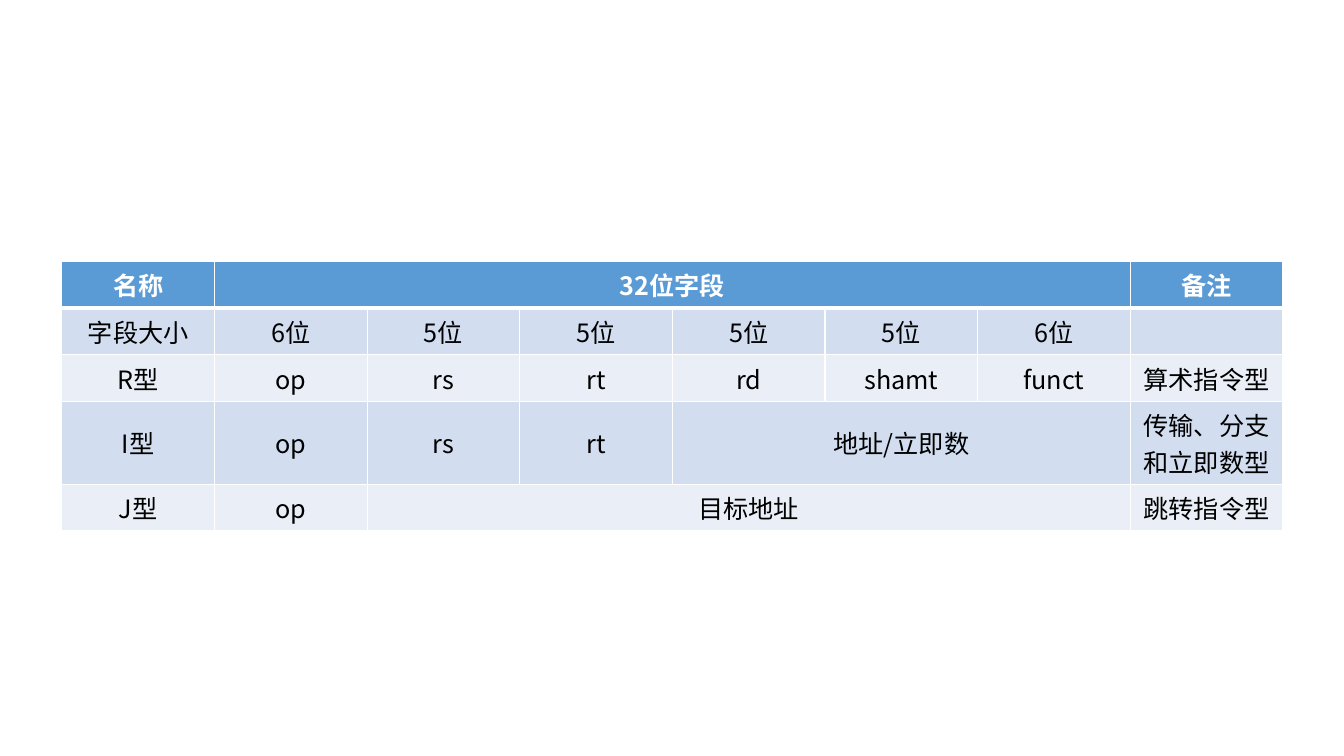
from dataclasses import dataclass

from lxml import etree
from pptx import Presentation
from pptx import util as u
from pptx.dml.color import RGBColor
from pptx.enum import text
from pptx.oxml import ns


@dataclass(frozen=True)
class Theme:
    font: str = "Noto Sans CJK SC"
    size: int = 18
    header_fill: str = "5B9BD5"
    bands: tuple = ("D2DEEF", "EAEFF7")
    header_text: str = "FFFFFF"
    body_text: str = "000000"
    border: str = "FFFFFF"
    thin: int = 1
    thick: int = 3


THEME = Theme()

# Each entry is a text and the number of columns it spans.
FORMAT_ROWS = [
    [("名称", 1), ("32位字段", 6), ("备注", 1)],
    [("字段大小", 1), ("6位", 1), ("5位", 1), ("5位", 1), ("5位", 1),
     ("5位", 1), ("6位", 1), ("", 1)],
    [("R型", 1), ("op", 1), ("rs", 1), ("rt", 1), ("rd", 1),
     ("shamt", 1), ("funct", 1), ("算术指令型", 1)],
    [("I型", 1), ("op", 1), ("rs", 1), ("rt", 1), ("地址/立即数", 3),
     ("传输、分支和立即数型", 1)],
    [("J型", 1), ("op", 1), ("目标地址", 5), ("跳转指令型", 1)],
]
COLUMN_COUNT = sum(span for _, span in FORMAT_ROWS[0])


def set_borders(cell, widths):
    """Draw cell edges; widths maps L, R, T and B to points."""
    properties = cell._tc.get_or_add_tcPr()
    for side, width in widths.items():
        line = etree.SubElement(properties, ns.qn(f"a:ln{side}"), w=str(u.Pt(width)))
        fill = etree.SubElement(line, ns.qn("a:solidFill"))
        etree.SubElement(fill, ns.qn("a:srgbClr"), val=THEME.border)


def style_cell(cell, row):
    header = row == 0
    set_borders(cell, {
        "L": THEME.thin,
        "R": THEME.thin,
        "T": THEME.thick if row == 1 else THEME.thin,
        "B": THEME.thick if header else THEME.thin,
    })
    fill = THEME.header_fill if header else THEME.bands[(row - 1) % 2]
    cell.fill.solid()
    cell.fill.fore_color.rgb = RGBColor.from_string(fill)
    cell.vertical_anchor = text.MSO_ANCHOR.MIDDLE


def write_cell(cell, words, header):
    para = cell.text_frame.paragraphs[0]
    para.alignment = text.PP_ALIGN.CENTER
    if not words:
        para.font.size = u.Pt(THEME.size)
        return
    span = para.add_run()
    span.text = words
    values = {"name": THEME.font, "size": u.Pt(THEME.size), "bold": header}
    for name, value in values.items():
        setattr(span.font, name, value)
    color = THEME.header_text if header else THEME.body_text
    span.font.color.rgb = RGBColor.from_string(color)
    etree.SubElement(span._r.get_or_add_rPr(), ns.qn("a:ea"), typeface=THEME.font)


def add_format_table(page, left, top, width, height):
    frame = page.shapes.add_table(
        len(FORMAT_ROWS), COLUMN_COUNT, left, top, width, height)
    table = frame.table
    for row, entries in enumerate(FORMAT_ROWS):
        for column in range(COLUMN_COUNT):
            style_cell(table.cell(row, column), row)
        column = 0
        for words, span in entries:
            cell = table.cell(row, column)
            if span > 1:
                cell.merge(table.cell(row, column + span - 1))
            write_cell(cell, words, header=row == 0)
            column += span


def main():
    deck = Presentation()
    deck.slide_width, deck.slide_height = u.Cm(33.87), u.Cm(19.05)
    page = deck.slides.add_slide(deck.slide_layouts[6])
    add_format_table(page, u.Cm(1.56), u.Cm(6.59), u.Cm(30.77), u.Cm(5.15))
    deck.save("out.pptx")


if __name__ == "__main__":
    main()
